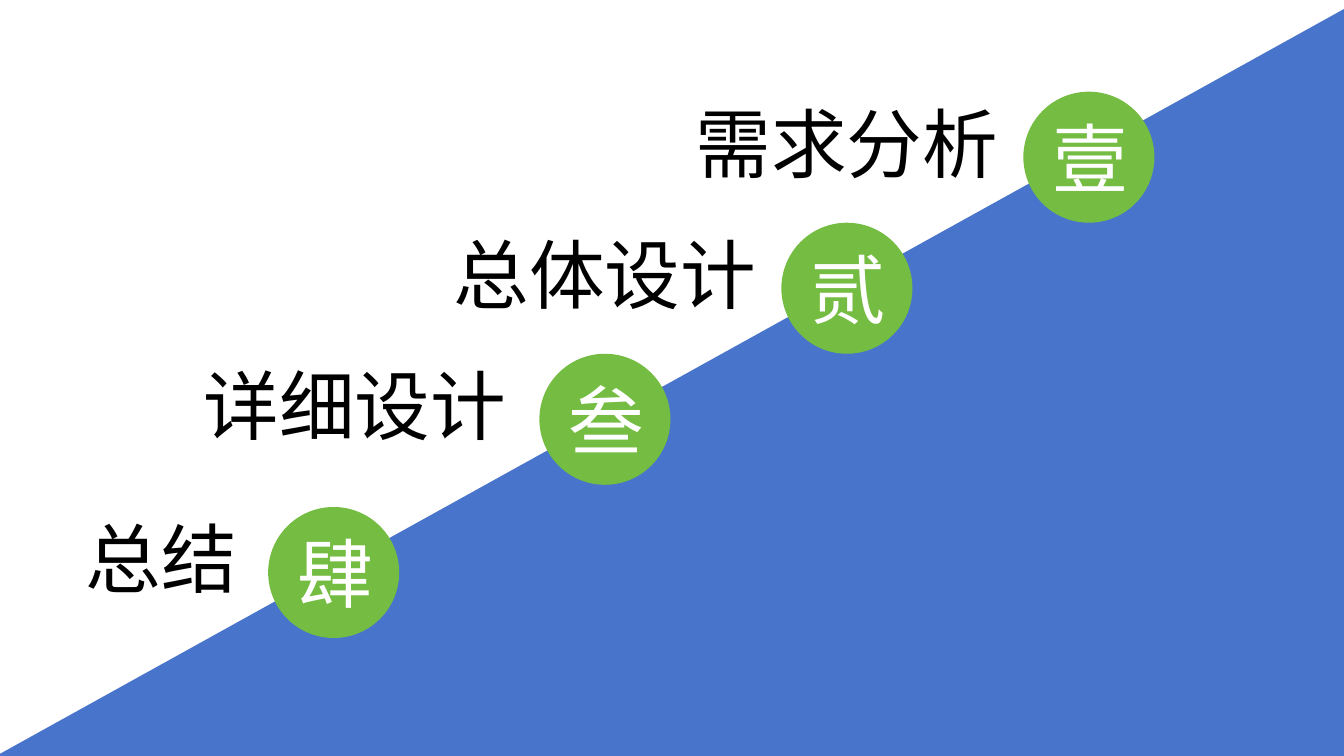
"""Build an agenda slide with four numbered steps along a diagonal."""
from dataclasses import dataclass

from pptx import Presentation
from pptx.dml.color import RGBColor
from pptx.enum.shapes import MSO_SHAPE
from pptx.enum.text import MSO_ANCHOR, MSO_AUTO_SIZE, PP_ALIGN
from pptx.shapes.autoshape import Shape
from pptx.slide import Slide
from pptx.text.text import TextFrame
from pptx.util import Inches, Pt

RECT, OVAL = MSO_SHAPE.RECTANGLE, MSO_SHAPE.OVAL
MIDDLE = MSO_ANCHOR.MIDDLE
CENTER, LEFT = PP_ALIGN.CENTER, PP_ALIGN.LEFT
FIT_SHAPE = MSO_AUTO_SIZE.SHAPE_TO_FIT_TEXT

BLUE, GREEN, WHITE, BLACK = "4874CB", "75BD42", "FFFFFF", "000000"
FONT, FONT_SIZE = "Arial", 54
BADGE_SIZE, LABEL_HEIGHT = 1.3, 1.01


@dataclass(frozen=True)
class Step:
    """One agenda step; lengths are in inches."""
    number: str
    label: str
    top: float
    badge_left: float
    label_left: float
    label_width: float = 3.2


STEPS = [
    Step("壹", "需求分析", 0.91, 10.15, 6.8),
    Step("贰", "总体设计", 2.21, 7.75, 4.4),
    Step("叁", "详细设计", 3.51, 5.35, 1.92),
    Step("肆", "总结", 5.03, 2.66, 0.75, 1.72),
]


def rgb(value: str) -> RGBColor:
    """Turn a hex string into a colour."""
    return RGBColor.from_string(value)


def add_filled(s: Slide, kind: MSO_SHAPE, left: float, top: float,
               width: float, height: float, color: str) -> Shape:
    """Add a flat shape without outline or shadow."""
    sp = s.shapes.add_shape(kind, Inches(left), Inches(top),
                            Inches(width), Inches(height))
    sp.shadow.inherit = False
    sp.fill.solid()
    sp.fill.fore_color.rgb = rgb(color)
    sp.line.fill.background()
    return sp


def write(tf: TextFrame, text: str, color: str, align: PP_ALIGN) -> None:
    """Write one formatted run into the first paragraph."""
    p = tf.paragraphs[0]
    p.alignment = align
    r = p.add_run()
    r.text = text
    r.font.name = FONT
    r.font.size = Pt(FONT_SIZE)
    r.font.color.rgb = rgb(color)


def add_step(s: Slide, step: Step) -> None:
    """Add the label and the round number badge of a step."""
    label = s.shapes.add_textbox(Inches(step.label_left), Inches(step.top),
                                 Inches(step.label_width), Inches(LABEL_HEIGHT))
    tf = label.text_frame
    tf.word_wrap = False
    tf.auto_size = FIT_SHAPE
    write(tf, step.label, BLACK, LEFT)

    badge = add_filled(s, OVAL, step.badge_left, step.top,
                       BADGE_SIZE, BADGE_SIZE, GREEN)
    badge.text_frame.vertical_anchor = MIDDLE
    write(badge.text_frame, step.number, WHITE, CENTER)


def main() -> None:
    """Build and save the slide."""
    prs = Presentation()
    prs.slide_width, prs.slide_height = Inches(13.33), Inches(7.5)
    s = prs.slides.add_slide(prs.slide_layouts[6])
    slope = add_filled(s, RECT, 0.97, 3.27, 15.32, 8.02, BLUE)
    slope.rotation = 331
    for step in STEPS:
        add_step(s, step)
    prs.save("out.pptx")


if __name__ == "__main__":
    main()
